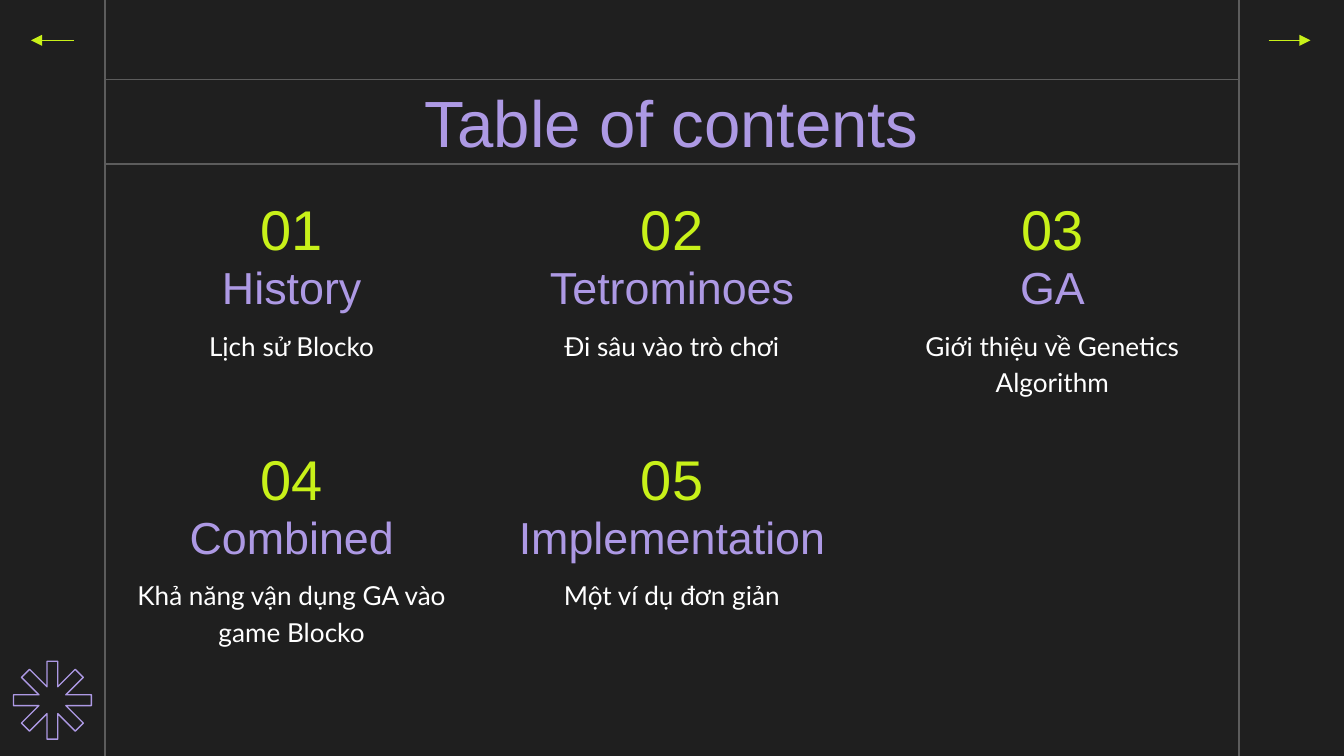
from lxml.etree import SubElement
from pptx import Presentation
from pptx.dml.color import RGBColor
from pptx.enum.shapes import MSO_CONNECTOR
from pptx.enum.text import MSO_ANCHOR as Anchor, MSO_AUTO_SIZE as AutoSize, PP_ALIGN as Align
from pptx.oxml.ns import qn
from pptx.util import Inches, Pt

WIDTH = 10
HEIGHT = WIDTH * 9 / 16
MARGIN = 0.78
RIGHT = WIDTH - MARGIN
COLUMN_WIDTH, COLUMN_STEP = 2.78, 2.83
ROW_TOP, ROW_STEP = 1.49, 1.86
DARK, GREY, PURPLE, LIME, WHITE = "1F1F1F", "5C5C5C", "AD99E4", "C8F119", "FFFFFF"

TOPICS = [
    ("01", "History", "Lịch sử Blocko"),
    ("02", "Tetrominoes", "Đi sâu vào trò chơi"),
    ("03", "GA", "Giới thiệu về Genetics Algorithm"),
    ("04", "Combined", "Khả năng vận dụng GA vào game Blocko"),
    ("05", "Implementation", "Một ví dụ đơn giản"),
]


def color(value):
    return RGBColor.from_string(value)


def place(shape, left, top, width, height):
    shape.left, shape.top = Inches(left), Inches(top)
    shape.width, shape.height = Inches(width), Inches(height)


def outline(shape, value):
    shape.line.color.rgb = color(value)
    shape.line.width = Pt(0.75)


def write(shape, text, size, font, value, anchor=Anchor.MIDDLE, spacing=1.0):
    frame = shape.text_frame
    frame.text = text
    frame.word_wrap = True
    frame.auto_size = AutoSize.NONE
    frame.vertical_anchor = anchor
    frame.margin_left = frame.margin_right = Inches(0.1)
    frame.margin_top = frame.margin_bottom = Inches(0.1)
    para = frame.paragraphs[0]
    para.alignment = Align.CENTER
    para.line_spacing = spacing
    span = para.runs[0]
    span.font.size = Pt(size)
    span.font.name = font
    span.font.color.rgb = color(value)


def add_line(page, start, end, value, arrow=False):
    line = page.shapes.add_connector(
        MSO_CONNECTOR.STRAIGHT, *(Inches(length) for length in start + end))
    outline(line, value)
    properties = line._element.spPr
    if arrow:
        SubElement(properties.find(qn("a:ln")), qn("a:tailEnd"), type="triangle")
    SubElement(properties, qn("a:effectLst"))


def add_star(page, center_x, center_y):
    points = [(-0.04, -0.29), (0.04, -0.29), (0.04, -0.1),
              (0.17, -0.23), (0.23, -0.17), (0.1, -0.04)]
    corners = []
    for quarter in range(4):
        corners += [(Inches(center_x + x), Inches(center_y + y)) for x, y in points]
        points = [(-y, x) for x, y in points]
    builder = page.shapes.build_freeform(*corners[0], scale=1.0)
    builder.add_line_segments(corners[1:], close=True)
    star = builder.convert_to_shape()
    star.shadow.inherit = False
    star.fill.solid()
    star.fill.fore_color.rgb = color(DARK)
    outline(star, PURPLE)


def add_frame(page):
    for x in (MARGIN, RIGHT):
        add_line(page, (x, 0), (x, HEIGHT), GREY)
    add_star(page, MARGIN / 2, 5.21)
    add_line(page, (9.44, 0.3), (9.75, 0.3), LIME, arrow=True)
    add_line(page, (0.55, 0.3), (0.23, 0.3), LIME, arrow=True)


def add_title(page, text):
    title = page.shapes.title
    place(title, MARGIN, 0.59, RIGHT - MARGIN, 0.63)
    outline(title, GREY)
    write(title, text, 35, "Arial", PURPLE)


def add_topic(page, left, top, number, name, summary):
    number_width = 0.99
    parts = [
        ((COLUMN_WIDTH - number_width) / 2, 0, number_width, 0.42,
         (number, 30, "Arial", LIME)),
        (0, 0.52, COLUMN_WIDTH, 0.42, (name, 24, "Arial", PURPLE, Anchor.BOTTOM)),
        (0, 0.83, COLUMN_WIDTH, 0.68, (summary, 14, "Lato", WHITE, Anchor.TOP, 1.15)),
    ]
    for x, y, width, height, style in parts:
        box = page.shapes.add_textbox(0, 0, 0, 0)
        place(box, left + x, top + y, width, height)
        write(box, *style)


def build_contents(deck):
    page = deck.slides.add_slide(deck.slide_layouts[5])
    page.background.fill.solid()
    page.background.fill.fore_color.rgb = color(DARK)
    add_frame(page)
    add_title(page, "Table of contents")
    for index, topic in enumerate(TOPICS):
        row, column = divmod(index, 3)
        add_topic(page, MARGIN + column * COLUMN_STEP, ROW_TOP + row * ROW_STEP, *topic)


deck = Presentation()
deck.slide_width, deck.slide_height = Inches(WIDTH), Inches(HEIGHT)
build_contents(deck)
deck.save("out.pptx")
